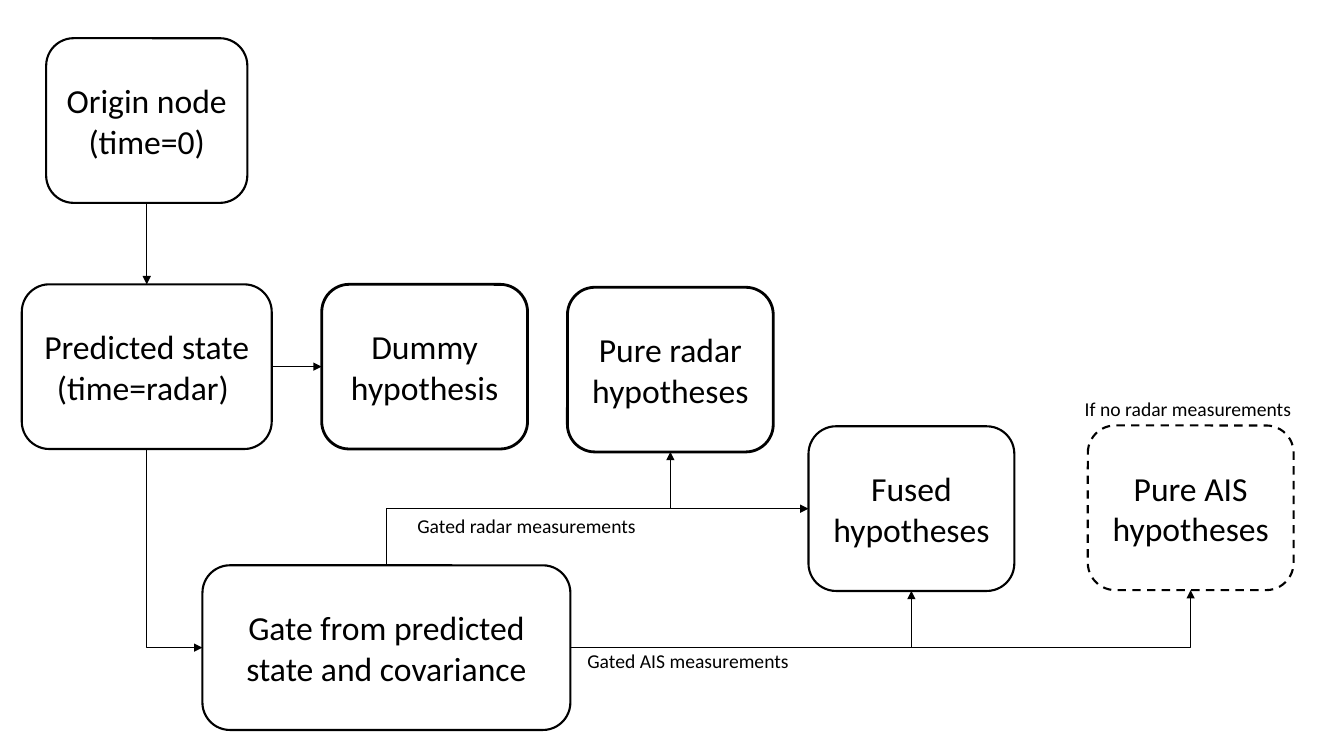
import lxml.etree
import pptx
import pptx.dml.color
import pptx.enum.dml
import pptx.enum.shapes
import pptx.enum.text
import pptx.oxml.ns
import pptx.util

COLORS = {"ink": "000000", "paper": "FFFFFF"}
COLUMNS, ROWS = 160, 90
BOX_WIDTH, BOX_HEIGHT, LABEL_HEIGHT = 24.5, 19.6, 4.1
TOP, LEFT, BOTTOM, RIGHT = range(4)


def rgb(name):
    return pptx.dml.color.RGBColor.from_string(COLORS[name])


def add_xml(parent, tag, **attributes):
    return lxml.etree.SubElement(parent, pptx.oxml.ns.qn(tag), attributes)


def write(frame, text, size=24, color="ink", font="Calibri", align="CENTER", anchor="MIDDLE"):
    frame.word_wrap = True
    frame.vertical_anchor = pptx.enum.text.MSO_ANCHOR[anchor]
    for index, content in enumerate(text.split("\n")):
        paragraph = frame.add_paragraph() if index else frame.paragraphs[0]
        paragraph.alignment = pptx.enum.text.PP_ALIGN[align]
        run = paragraph.add_run()
        run.text = content
        run.font.name = font
        run.font.size = pptx.util.Pt(size)
        run.font.color.rgb = rgb(color)


class Diagram:
    def __init__(self, presentation):
        self.slide = presentation.slides.add_slide(presentation.slide_layouts[6])
        self.slide.background.fill.solid()
        self.slide.background.fill.fore_color.rgb = rgb("paper")
        self.column = presentation.slide_width / COLUMNS
        self.row = presentation.slide_height / ROWS

    def area(self, x, y, width, height):
        return (round(x * self.column), round(y * self.row),
                round(width * self.column), round(height * self.row))

    def node(self, text, x, y, width=BOX_WIDTH, weight=1.5, dashed=False):
        node = self.slide.shapes.add_shape(
            pptx.enum.shapes.MSO_SHAPE.ROUNDED_RECTANGLE,
            *self.area(x, y, width, BOX_HEIGHT))
        node.shadow.inherit = False
        node.fill.background()
        node.line.color.rgb = rgb("ink")
        node.line.width = pptx.util.Pt(weight)
        if dashed:
            node.line.dash_style = pptx.enum.dml.MSO_LINE.DASH
        write(node.text_frame, text)
        return node

    def label(self, text, x, y, width):
        label = self.slide.shapes.add_textbox(*self.area(x, y, width, LABEL_HEIGHT))
        write(label.text_frame, text, size=14, align="LEFT", anchor="TOP")

    def arrow(self, source, source_side, target, target_side, kind="STRAIGHT"):
        arrow = self.slide.shapes.add_connector(
            pptx.enum.shapes.MSO_CONNECTOR[kind], 0, 0, 0, 0)
        arrow.begin_connect(source, source_side)
        arrow.end_connect(target, target_side)
        arrow.line.color.rgb = rgb("ink")
        arrow.line.width = pptx.util.Pt(0.5)
        outline = arrow.element.spPr.find(pptx.oxml.ns.qn("a:ln"))
        add_xml(outline, "a:tailEnd", type="triangle")
        add_xml(arrow.element.spPr, "a:effectLst")
        return arrow

    def elbow(self, source, source_side, target, target_side, turn_row=None):
        arrow = self.arrow(source, source_side, target, target_side, "ELBOW")
        start, rise = arrow.begin_y, arrow.end_y - arrow.begin_y
        geometry = arrow.element.spPr.find(pptx.oxml.ns.qn("a:prstGeom"))
        if source_side % 2 != target_side % 2:
            geometry.set("prst", "bentConnector2")
        if turn_row is not None:
            share = round((turn_row * self.row - start) / rise * 100000)
            adjustments = geometry.find(pptx.oxml.ns.qn("a:avLst"))
            add_xml(adjustments, "a:gd", name="adj1", fmla=f"val {share}")
        if source_side in (TOP, BOTTOM):
            self.turn_upright(arrow, descending=rise > 0)

    def turn_upright(self, arrow, descending):
        width, height = arrow.width, arrow.height
        arrow.left += (width - height) // 2
        arrow.top += (height - width) // 2
        arrow.width, arrow.height = height, width
        transform = arrow.element.spPr.xfrm
        transform.set("rot", "16200000")
        transform.set("flipH", str(int(descending)))
        transform.set("flipV", "0")


def main():
    presentation = pptx.Presentation()
    presentation.slide_width = pptx.util.Inches(13.33)
    presentation.slide_height = pptx.util.Inches(7.5)
    diagram = Diagram(presentation)

    origin = diagram.node("Origin node\n(time=0)", 5.5, 4.55, width=23.95)
    gate = diagram.node("Gate from predicted state and covariance", 24.1, 67.3, width=43.8)
    radar = diagram.node("Pure radar hypotheses", 67.55, 34.2, weight=2)
    predicted = diagram.node("Predicted state (time=radar) ", 2.6, 33.85, width=29.75)
    fused = diagram.node("Fused hypotheses", 96.25, 50.75)
    dummy = diagram.node("Dummy hypothesis", 38.3, 33.85, weight=2)
    ais = diagram.node("Pure AIS hypotheses", 129.5, 50.65, dashed=True)

    diagram.arrow(origin, BOTTOM, predicted, TOP)
    diagram.arrow(predicted, RIGHT, dummy, LEFT)
    diagram.elbow(predicted, BOTTOM, gate, LEFT)
    diagram.elbow(gate, TOP, radar, BOTTOM)
    diagram.elbow(gate, RIGHT, fused, BOTTOM)
    diagram.elbow(radar, BOTTOM, fused, LEFT)
    diagram.elbow(fused, BOTTOM, ais, BOTTOM, turn_row=77.1)

    diagram.label("Gated radar measurements", 48.5, 60.6, 28.9)
    diagram.label("Gated AIS measurements", 68.75, 76.7, 26.9)
    diagram.label("If no radar measurements", 127.95, 46.7, 27.6)

    presentation.save("out.pptx")


if __name__ == "__main__":
    main()
